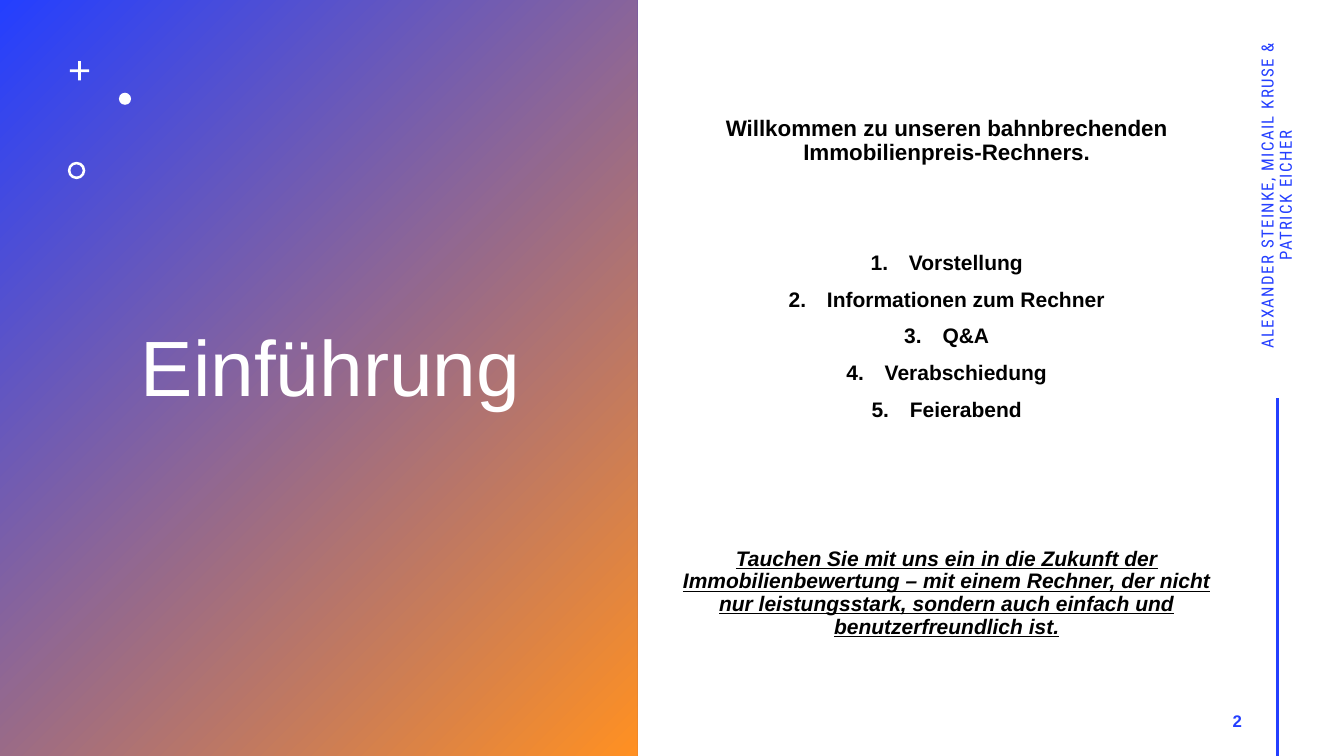
from lxml import etree
from pptx import Presentation
from pptx.dml.color import RGBColor
from pptx.enum.shapes import MSO_CONNECTOR, MSO_SHAPE
from pptx.enum.text import MSO_ANCHOR, PP_ALIGN
from pptx.oxml.ns import qn
from pptx.util import Inches, Pt

WIDE, HIGH = Inches(13.33), Inches(7.5)
RECT, CROSS = MSO_SHAPE.RECTANGLE, MSO_SHAPE.CROSS
OVAL, DONUT = MSO_SHAPE.OVAL, MSO_SHAPE.DONUT
LEFT, MID, RIGHT = PP_ALIGN.LEFT, PP_ALIGN.CENTER, PP_ALIGN.RIGHT
CENTER, LINE = MSO_ANCHOR.MIDDLE, MSO_CONNECTOR.STRAIGHT
COLORS = {"blue": "243FFF", "orange": "FF9022", "white": "FFFFFF", "black": "000000"}
TOPICS = ["Vorstellung", "Informationen zum Rechner", "Q&A", "Verabschiedung", "Feierabend"]
INDENT = Inches(0.38)


def tint(name):
    """Return the named colour."""
    return RGBColor.from_string(COLORS[name])


def place(x, y, w, h):
    """Turn percentages of the slide into lengths."""
    return [round(part * full / 100) for part, full in zip((x, y, w, h), (WIDE, HIGH) * 2)]


def add_form(slide, kind, area, adjust=None):
    """Add a white preset shape without outline."""
    form = slide.shapes.add_shape(kind, *place(*area))
    form.shadow.inherit = False
    form.line.fill.background()
    form.fill.solid()
    form.fill.fore_color.rgb = tint("white")
    if adjust is not None:
        form.adjustments[0] = adjust
    return form


def add_panel(slide):
    """Add the panel with its diagonal gradient."""
    fill = add_form(slide, RECT, (0, 0, 47.4, 100)).fill
    fill.gradient()
    fill.gradient_angle = 315
    for stop, name, spot in zip(fill.gradient_stops, ("blue", "orange"), (0, 1)):
        stop.color.rgb = tint(name)
        stop.position = spot


def add_box(slide, area, turn=0):
    """Add a wrapping text box centred in height and return it."""
    box = slide.shapes.add_textbox(*place(*area))
    box.rotation = turn
    box.text_frame.word_wrap = True
    box.text_frame.vertical_anchor = CENTER
    return box.text_frame


def write(para, text, size, color, align=MID, face="Arial", bold=False, before=0, after=0, lead=0.9):
    """Fill and style one paragraph."""
    para.text = text
    para.alignment = align
    para.line_spacing = lead
    para.space_before, para.space_after = Pt(before), Pt(after)
    font = para.font
    font.size, font.name, font.bold = Pt(size), face, bold
    font.color.rgb = tint(color)


def number(para):
    """Number a paragraph with a hanging indent."""
    props = para._p.get_or_add_pPr()
    props.set("marL", str(INDENT))
    props.set("indent", str(-INDENT))
    mark = etree.Element(qn("a:buAutoNum"), type="arabicPeriod")
    props.find(qn("a:defRPr")).addprevious(mark)


def space(para):
    """Widen the letter spacing by one point."""
    para._p.pPr.find(qn("a:defRPr")).set("spc", "100")


def add_body(slide):
    """Add the welcome, the agenda and the closing words."""
    frame = add_box(slide, (50, 2, 40.88, 96))
    write(frame.paragraphs[0], "Willkommen zu unseren bahnbrechenden Immobilienpreis-Rechners.",
          16, "black", bold=True, before=10)
    for row, topic in enumerate(TOPICS):
        para = frame.add_paragraph()
        write(para, topic, 15, "black", bold=True, before=10 if row else 62)
        number(para)
    last = frame.add_paragraph()
    write(last, "Tauchen Sie mit uns ein in die Zukunft der Immobilienbewertung – mit einem "
          "Rechner, der nicht nur leistungsstark, sondern auch einfach und "
          "benutzerfreundlich ist.", 15, "black", bold=True, before=90)
    last.font.italic = last.font.underline = True


def add_margin(slide):
    """Add the authors, the page number and the upright line."""
    names = add_box(slide, (80.48, 23.2, 29.1, 5.33), 270).paragraphs[0]
    write(names, "ALEXANDER STEINKE, MICAIL KRUSE & PATRICK EICHER", 12, "blue",
          face="Roboto Condensed", after=6)
    page = add_box(slide, (70.65, 92.67, 22.5, 5.33)).paragraphs[0]
    write(page, "2", 12, "blue", RIGHT, bold=True, after=6, lead=1.0)
    for para in (names, page):
        space(para)
    rule = slide.shapes.add_connector(LINE, *place(95.03, 52.67, 95.03, 100))
    rule.line.color.rgb = tint("blue")
    rule.line.width = Pt(2)
    etree.SubElement(rule._element.spPr, qn("a:effectLst"))


def main():
    """Build and save the slide."""
    deck = Presentation()
    deck.slide_width, deck.slide_height = WIDE, HIGH
    slide = deck.slides.add_slide(deck.slide_layouts[6])
    add_panel(slide)
    add_form(slide, CROSS, (5.2, 8.1, 1.43, 2.53), 0.43)
    add_form(slide, OVAL, (8.85, 12.27, 0.9, 1.6))
    add_form(slide, DONUT, (5.05, 21.4, 1.3, 2.3), 0.15)
    title = add_box(slide, (9.75, 5.6, 32.85, 87.07))
    write(title.paragraphs[0], "Einführung", 56, "white", LEFT)
    add_body(slide)
    add_margin(slide)
    deck.save("out.pptx")


if __name__ == "__main__":
    main()
